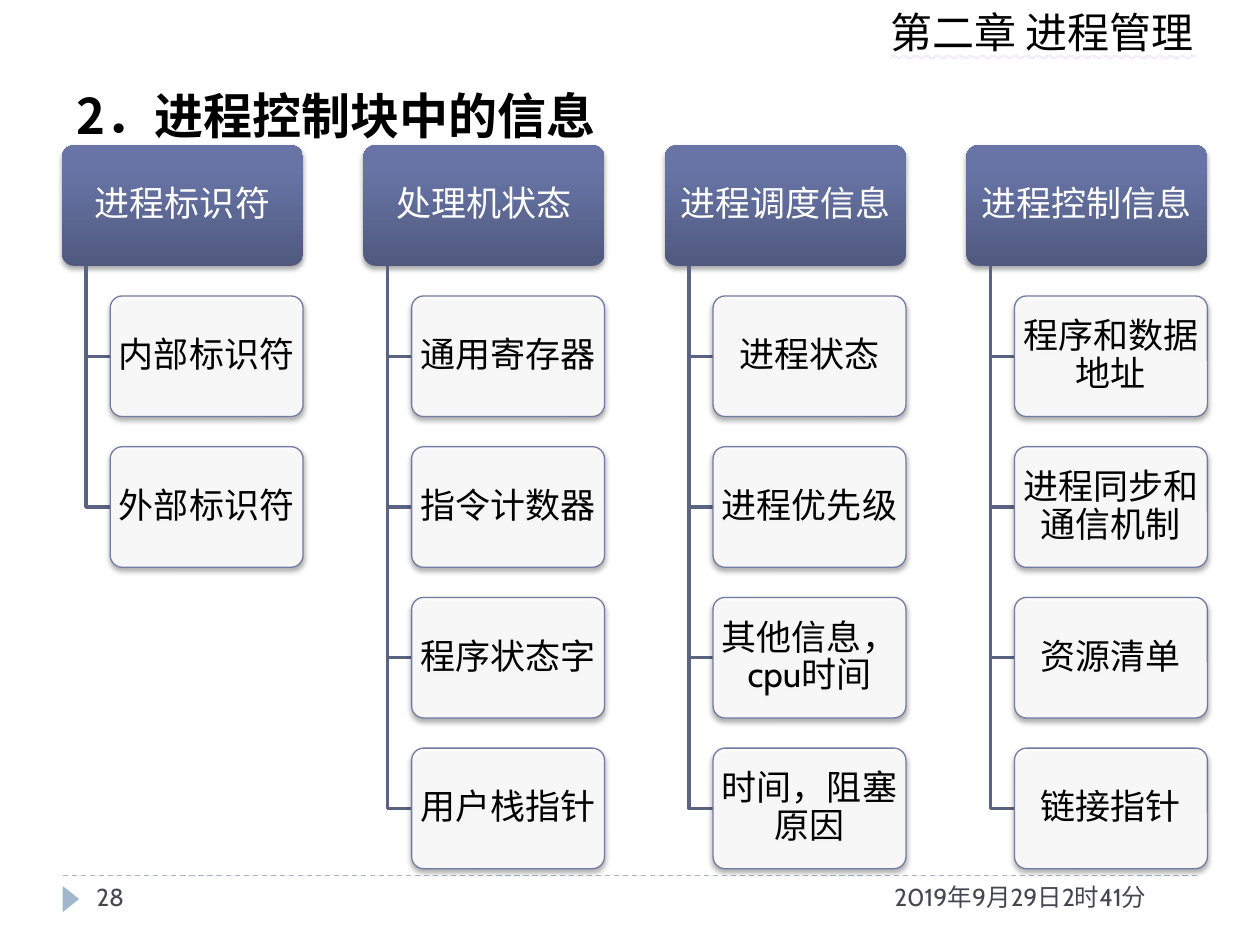
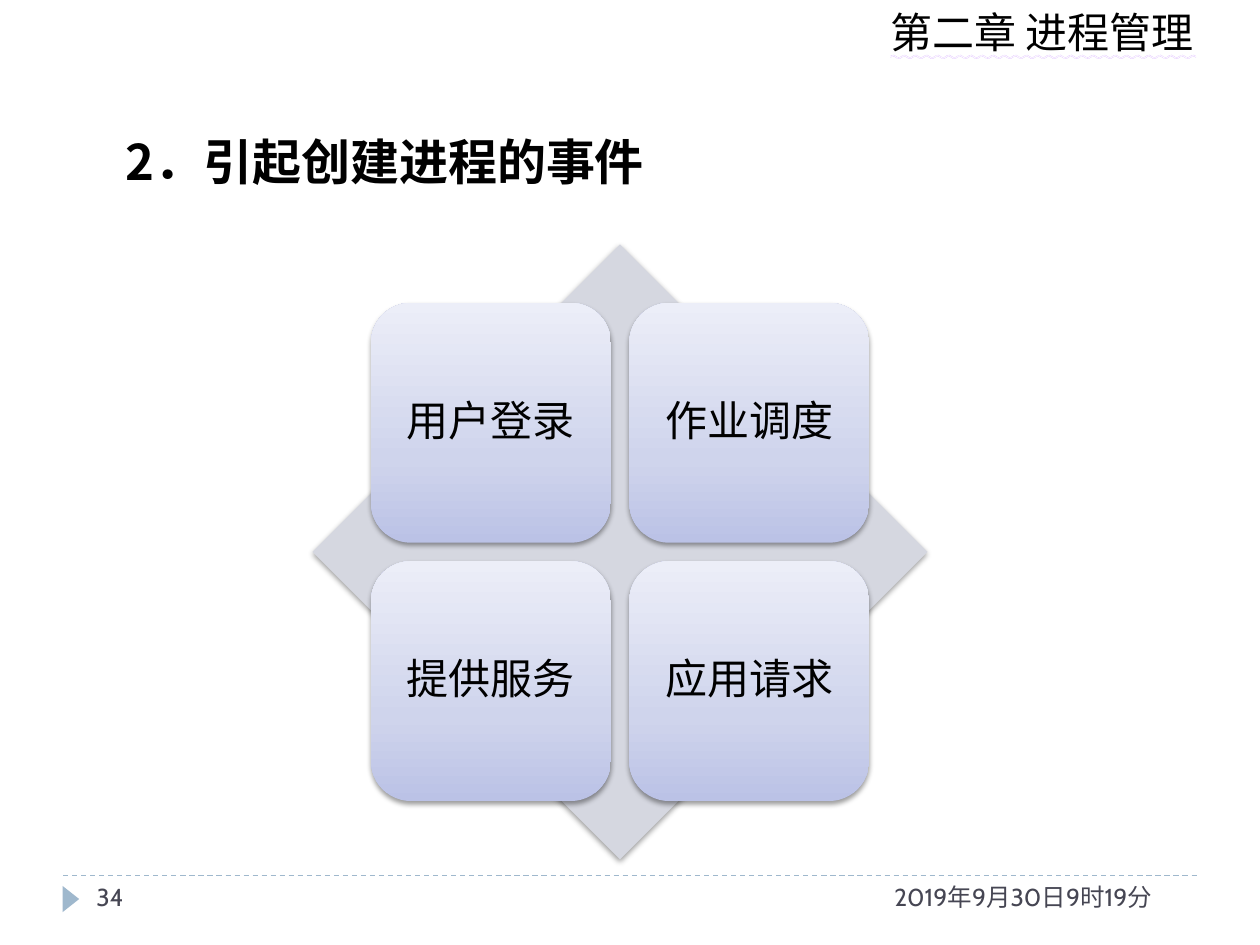
from dataclasses import dataclass

from lxml.etree import SubElement
from pptx import Presentation
from pptx.dml.color import RGBColor
from pptx.enum.dml import MSO_LINE
from pptx.enum.shapes import MSO_CONNECTOR, MSO_SHAPE
from pptx.enum.text import MSO_ANCHOR, MSO_AUTO_SIZE, MSO_UNDERLINE, PP_ALIGN
from pptx.oxml.ns import qn
from pptx.util import Pt


@dataclass(frozen=True)
class Theme:
    latin: str = "Cabin"
    chinese: str = "Noto Sans CJK SC"
    ink: str = "000000"
    white: str = "FFFFFF"
    footer_ink: str = "464653"
    accent: str = "9FB8CD"
    wave: str = "CC99FF"
    branch: str = "5B6383"
    item_edge: str = "727CA3"
    diamond: str = "D5D7E0"
    header_stops: tuple = ((0, "50597F"), (80, "6774A5"), (100, "6774A7"))
    tile_stops: tuple = ((0, "BBC2E6"), (35, "CFD4EC"), (100, "ECEEF8"))
    title_size: int = 28
    large_size: int = 24
    item_size: int = 20
    footer_size: int = 14


THEME = Theme()

CHAPTER = "第二章 进程管理"
CONTROL_BLOCK = {
    "进程标识符": ["内部标识符", "外部标识符"],
    "处理机状态": ["通用寄存器", "指令计数器", "程序状态字", "用户栈指针"],
    "进程调度信息": ["进程状态", "进程优先级", "其他信息，cpu时间", "时间，阻塞原因"],
    "进程控制信息": ["程序和数据地址", "进程同步和通信机制", "资源清单", "链接指针"],
}
CREATION_EVENTS = ["用户登录", "作业调度", "提供服务", "应用请求"]


def rgb(code):
    return RGBColor.from_string(code)


def box(*lengths):
    return [Pt(length) for length in lengths]


# Text
def style_text(paragraph, size, color, latin=THEME.latin, bold=False):
    font = paragraph.font
    font.size, font.name, font.bold = Pt(size), latin, bold
    font.color.rgb = rgb(color)
    properties = paragraph._p.pPr.find(qn("a:defRPr"))
    east_asian = SubElement(properties, qn("a:ea"))
    east_asian.set("typeface", THEME.chinese)
    return properties


def add_label(slide, text, place, size, color):
    label = slide.shapes.add_textbox(*box(*place))
    label.text_frame.word_wrap = True
    label.text_frame.text = text
    style_text(label.text_frame.paragraphs[0], size, color)
    return label


def add_title(slide, text, place, line_spacing):
    title = slide.shapes.title
    title.left, title.top, title.width, title.height = box(*place)
    frame = title.text_frame
    frame.text = text
    frame.vertical_anchor = MSO_ANCHOR.TOP
    frame.auto_size = MSO_AUTO_SIZE.NONE
    heading = frame.paragraphs[0]
    heading.alignment = PP_ALIGN.LEFT
    heading.line_spacing = line_spacing
    heading.space_before = Pt(6)
    style_text(heading, THEME.title_size, THEME.ink, THEME.chinese, bold=True)


# Fills and shadows
def fill_solid(shape, color, opacity=100):
    shape.fill.solid()
    shape.fill.fore_color.rgb = rgb(color)
    if opacity < 100:
        tint = shape._element.spPr.find(qn("a:solidFill")).find(qn("a:srgbClr"))
        SubElement(tint, qn("a:alpha")).set("val", str(opacity * 1000))


def fill_upward(shape, stops):
    """Gradient whose first stop lies at the bottom edge."""
    shape.fill.gradient()
    gradient = shape._element.spPr.find(qn("a:gradFill"))
    for part in list(gradient):
        gradient.remove(part)
    stop_list = SubElement(gradient, qn("a:gsLst"))
    for position, color in stops:
        stop = SubElement(stop_list, qn("a:gs"), pos=str(position * 1000))
        SubElement(stop, qn("a:srgbClr"), val=color)
    SubElement(gradient, qn("a:lin"), ang=str(270 * 60000), scaled="0")


def cast_shadow(shape, opacity, distance):
    shape.shadow.inherit = False
    effects = shape._element.spPr.find(qn("a:effectLst"))
    shadow = SubElement(effects, qn("a:outerShdw"), blurRad=str(Pt(3.1)),
                        dist=str(Pt(distance)), dir=str(90 * 60000), rotWithShape="0")
    shade = SubElement(shadow, qn("a:srgbClr"), val=THEME.ink)
    SubElement(shade, qn("a:alpha"), val=str(opacity * 1000))


# Shapes
def add_plain(slide, preset, place):
    shape = slide.shapes.add_shape(preset, *box(*place))
    shape.shadow.inherit = False
    shape.line.fill.background()
    return shape


def add_card(slide, text, place, size, color, margins):
    card = add_plain(slide, MSO_SHAPE.ROUNDED_RECTANGLE, place)
    frame = card.text_frame
    frame.word_wrap = True
    frame.vertical_anchor = MSO_ANCHOR.MIDDLE
    frame.margin_left = frame.margin_right = Pt(margins[0])
    frame.margin_top = frame.margin_bottom = Pt(margins[1])
    frame.text = text
    caption = frame.paragraphs[0]
    caption.alignment = PP_ALIGN.CENTER
    caption.line_spacing = 0.9
    style_text(caption, size, color)
    return card


def add_tree_card(slide, text, place, color):
    card = add_card(slide, text, place, THEME.item_size, color, (2.6, 2.1))
    card.adjustments[0] = 0.1
    cast_shadow(card, 35, 1.8)
    return card


def add_branch(slide, trunk_x, top, middle, item_x):
    outline = slide.shapes.build_freeform(Pt(trunk_x), Pt(top))
    outline.add_line_segments([box(trunk_x, middle), box(item_x, middle)], close=False)
    branch = outline.convert_to_shape()
    branch.shadow.inherit = False
    branch.fill.background()
    branch.line.color.rgb = rgb(THEME.branch)
    branch.line.width = Pt(2)


# What the slides share
def add_frame(slide, number, date):
    rule = slide.shapes.add_connector(MSO_CONNECTOR.STRAIGHT, *box(36, 500.4, 684, 500.4))
    rule.line.color.rgb = rgb(THEME.accent)
    rule.line.width = Pt(0.75)
    rule.line.dash_style = MSO_LINE.DASH
    SubElement(rule._element.spPr, qn("a:effectLst"))

    marker = add_plain(slide, MSO_SHAPE.ISOSCELES_TRIANGLE, (33, 509, 15, 9.5))
    marker.rotation = 90
    fill_solid(marker, THEME.accent)

    chapter = add_label(slide, CHAPTER, (501.8, 0, 191.5, 36), THEME.large_size, THEME.ink)
    chapter.text_frame.word_wrap = False
    chapter.text_frame.auto_size = MSO_AUTO_SIZE.SHAPE_TO_FIT_TEXT
    paragraph = chapter.text_frame.paragraphs[0]
    paragraph.font.underline = MSO_UNDERLINE.WAVY_DOUBLE_LINE
    properties = paragraph._p.pPr.find(qn("a:defRPr"))
    wave = SubElement(properties, qn("a:uFill"))
    SubElement(SubElement(wave, qn("a:solidFill")), qn("a:srgbClr"), val=THEME.wave)
    properties.find(qn("a:latin")).addprevious(wave)

    add_label(slide, date, (504, 500.4, 180, 28.8), THEME.footer_size, THEME.footer_ink)
    add_label(slide, number, (48, 500.4, 156, 28.8), THEME.footer_size, THEME.footer_ink)


# Diagrams
def add_hierarchy(slide, groups, left, top, unit):
    """Columns of cards; every gap and width is a multiple of the card height."""
    for column, (header, items) in enumerate(groups.items()):
        x = left + column * 2.5 * unit
        item_x = x + 0.4 * unit
        header_card = add_tree_card(slide, header, (x, top, 2 * unit, unit), THEME.white)
        fill_upward(header_card, THEME.header_stops)
        for row, item in enumerate(items, start=1):
            y = top + row * 1.25 * unit
            add_branch(slide, x + 0.2 * unit, top + unit, y + unit / 2, item_x)
            item_card = add_tree_card(slide, item, (item_x, y, 1.6 * unit, unit), THEME.ink)
            fill_solid(item_card, THEME.white, opacity=90)
            item_card.line.color.rgb = rgb(THEME.item_edge)
            item_card.line.width = Pt(0.75)


def add_matrix(slide, events, left, top, side):
    """Four tiles in two rows over a diamond."""
    diamond = add_plain(slide, MSO_SHAPE.DIAMOND, (left, top, side, side))
    fill_solid(diamond, THEME.diamond)
    cast_shadow(diamond, 38, 1.6)
    inset, pitch, tile_side = 0.095 * side, 0.42 * side, 0.39 * side
    for index, event in enumerate(events):
        row, column = divmod(index, 2)
        place = (left + inset + column * pitch, top + inset + row * pitch,
                 tile_side, tile_side)
        tile = add_card(slide, event, place, THEME.large_size, THEME.ink, (7.2, 7.2))
        fill_upward(tile, THEME.tile_stops)
        cast_shadow(tile, 38, 1.6)


def main():
    deck = Presentation()
    deck.slide_width, deck.slide_height = box(720, 540)
    title_only = deck.slide_layouts[5]

    # Information in the process control block
    block_slide = deck.slides.add_slide(title_only)
    add_frame(block_slide, "28", "2019年9月29日2时41分")
    add_title(block_slide, "2．进程控制块中的信息", (36.7, 31.7, 646.6, 56.9), 1.4)
    add_hierarchy(block_slide, CONTROL_BLOCK, left=35.4, top=83, unit=68.9)

    # Events that create a process
    event_slide = deck.slides.add_slide(title_only)
    add_frame(event_slide, "34", "2019年9月30日9时19分")
    add_title(event_slide, "　2．引起创建进程的事件", (36.7, 54.7, 646.6, 62.6), 1.5)
    add_matrix(event_slide, CREATION_EVENTS, left=178.6, top=139.7, side=351.4)

    deck.save("out.pptx")


if __name__ == "__main__":
    main()
